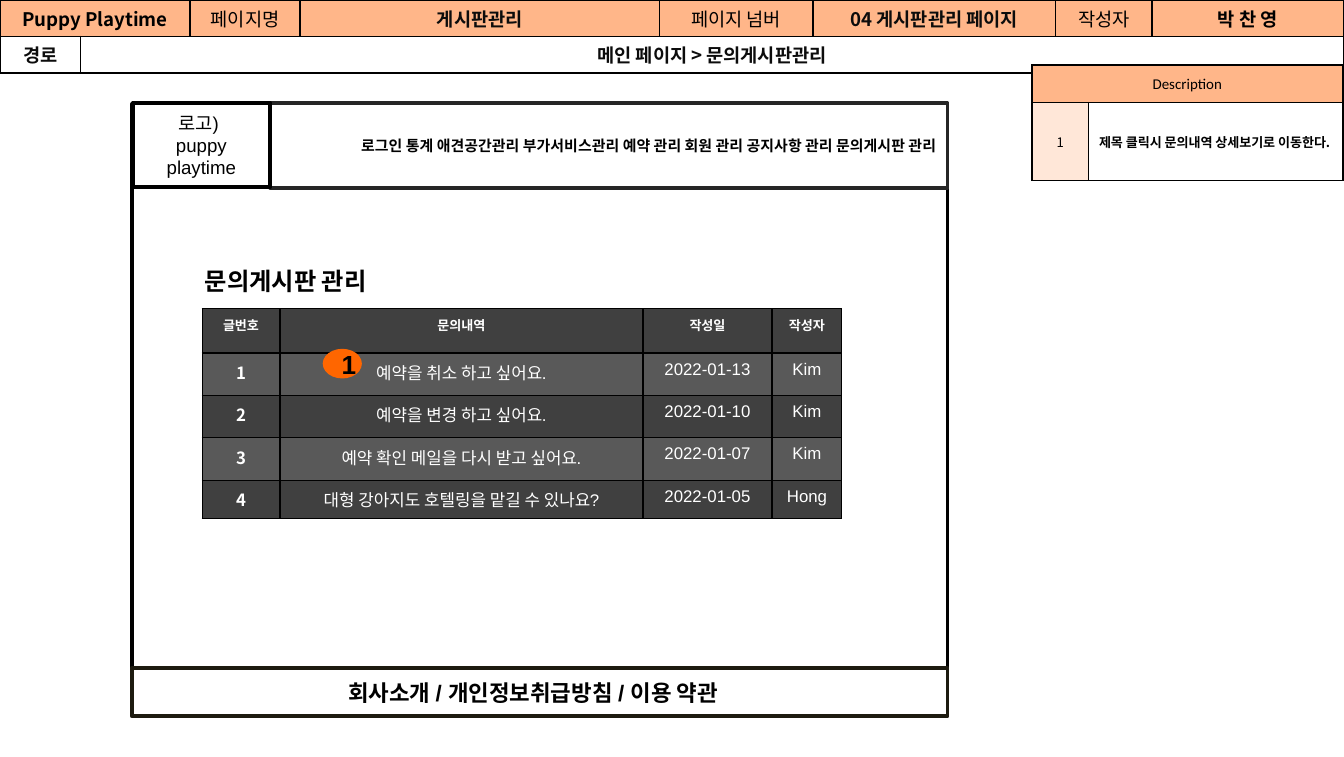
"""Build the storyboard slide for the inquiry board management page."""
from lxml import etree
from pptx import Presentation
from pptx.dml.color import RGBColor
from pptx.enum.shapes import MSO_SHAPE
from pptx.enum.text import MSO_ANCHOR, PP_ALIGN
from pptx.oxml.ns import qn
from pptx.util import Cm, Pt

RECT, OVAL = MSO_SHAPE.RECTANGLE, MSO_SHAPE.OVAL
TOP, MIDDLE = MSO_ANCHOR.TOP, MSO_ANCHOR.MIDDLE
LEFT, CENTER, RIGHT = PP_ALIGN.LEFT, PP_ALIGN.CENTER, PP_ALIGN.RIGHT
NOTO, ARIAL, CALIBRI = "Noto Sans CJK KR", "Arial", "Calibri"

COLORS = {
    "black": "000000", "ink": "0C0C0C", "white": "FFFFFF", "peach": "FFB689",
    "pale": "FFE7D8", "dark": "404040", "grey": "595959", "orange": "FF6600",
    "menu line": "262626", "footer line": "1D1B10",
}

PAGE_INFO = [
    ("Puppy Playtime", True, "black"), None, ("페이지명", False, "black"),
    ("게시판관리", True, "ink"), ("페이지 넘버", False, "black"),
    ("04 게시판관리 페이지", True, "ink"), ("작성자", False, "black"),
    ("박 찬 영", True, "black"),
]
ROUTE = ["경로", "메인 페이지 > 문의게시판관리"]
TITLE = "문의게시판 관리"
MENU = "로그인 통계 애견공간관리 부가서비스관리 예약 관리 회원 관리 공지사항 관리 문의게시판 관리"
LOGO = ["로고) ", "puppy", "playtime"]
FOOTER = "회사소개 / 개인정보취급방침 / 이용 약관"
INQUIRIES = [
    ("글번호", "문의내역", "작성일", "작성자"),
    ("1", "예약을 취소 하고 싶어요.", "2022-01-13", "Kim"),
    ("2", "예약을 변경 하고 싶어요.", "2022-01-10", "Kim"),
    ("3", "예약 확인 메일을 다시 받고 싶어요.", "2022-01-07", "Kim"),
    ("4", "대형 강아지도 호텔링을 맡길 수 있나요?", "2022-01-05", "Hong"),
]
MARKER = "1"
DESCRIPTION = ["Description", "1", "제목 클릭시 문의내역 상세보기로 이동한다."]


def rgb(color):
    return RGBColor.from_string(COLORS[color])


def write(frame, lines, size, font=ARIAL, color="black", bold=False, align=CENTER):
    frame.text = "\n".join(lines)
    for paragraph in frame.paragraphs:
        paragraph.alignment = align
        style = paragraph.font
        style.size, style.bold, style.name = Pt(size), bold, font
        style.color.rgb = rgb(color)
        defaults = paragraph._p.pPr.find(qn("a:defRPr"))
        etree.SubElement(defaults, qn("a:ea"), typeface=NOTO)


def set_margins(box, side, edge):
    box.margin_left = box.margin_right = Cm(side)
    box.margin_top = box.margin_bottom = Cm(edge)


def add_box(slide, place, fill, line=None, kind=RECT):
    box = slide.shapes.add_shape(kind, *map(Cm, place))
    box.shadow.inherit = False
    box.fill.solid()
    box.fill.fore_color.rgb = rgb(fill)
    if line:
        box.line.color.rgb = rgb(line)
        box.line.width = Pt(2)
    else:
        box.line.fill.background()
    box.text_frame.word_wrap = True
    box.text_frame.vertical_anchor = MIDDLE
    return box


def add_grid(slide, left, top, widths, heights, margins, border):
    grid = slide.shapes.add_table(
        len(heights), len(widths), Cm(left), Cm(top), Cm(sum(widths)), Cm(sum(heights))).table
    for column, width in zip(grid.columns, widths):
        column.width = Cm(width)
    for row, height in zip(grid.rows, heights):
        row.height = Cm(height)
    for cell in grid.iter_cells():
        set_margins(cell, *margins)
        properties = cell._tc.get_or_add_tcPr()
        for side in ("lnL", "lnR", "lnT", "lnB"):
            edge = etree.SubElement(properties, qn(f"a:{side}"), w=str(Pt(border)))
            paint = etree.SubElement(edge, qn("a:solidFill"))
            etree.SubElement(paint, qn("a:srgbClr"), val=COLORS["black"])
    return grid


def fill_cell(cell, text, fill, size, anchor=MIDDLE, **style):
    cell.fill.solid()
    cell.fill.fore_color.rgb = rgb(fill)
    cell.vertical_anchor = anchor
    write(cell.text_frame, [text], size, **style)


def add_page_info(slide):
    grid = add_grid(slide, 0, 0, [1.52, 2.07, 2.08, 6.79, 2.9, 4.59, 1.82, 3.62],
                    [0.61, 0.61], (0.23, 0.09), 1)
    grid.cell(0, 0).merge(grid.cell(0, 1))
    grid.cell(1, 1).merge(grid.cell(1, 7))
    for c, item in enumerate(PAGE_INFO):
        if item:
            text, bold, color = item
            fill_cell(grid.cell(0, c), text, "peach", 10, TOP, font=NOTO, color=color, bold=bold)
    for c, text in enumerate(ROUTE):
        fill_cell(grid.cell(1, c), text, "white", 10, font=NOTO, color="ink", bold=True)


def add_inquiries(slide):
    grid = add_grid(slide, 3.82, 5.83, [1.47, 6.86, 2.44, 1.32],
                    [0.84, 0.8, 0.8, 0.8, 0.69], (0.25, 0.13), 0.75)
    for r, inquiry in enumerate(INQUIRIES):
        for c, text in enumerate(inquiry):
            heading = r == 0 or c == 0
            fill_cell(grid.cell(r, c), text, "grey" if r % 2 else "dark", 9 if r else 7, TOP,
                      font=NOTO if heading else ARIAL, color="white", bold=heading)


def add_description(slide):
    grid = add_grid(slide, 19.5, 1.23, [1.07, 4.81], [0.71, 1.47], (0.2, 0.08), 1)
    grid.cell(0, 0).merge(grid.cell(0, 1))
    heading, number, note = DESCRIPTION
    fill_cell(grid.cell(0, 0), heading, "peach", 8, font=CALIBRI)
    fill_cell(grid.cell(1, 0), number, "pale", 7, font=NOTO)
    fill_cell(grid.cell(1, 1), note, "white", 7, font=NOTO, bold=True, align=LEFT)


def place_title(slide):
    title = slide.shapes.title
    title.left, title.top, title.width, title.height = map(Cm, (3.62, 4.9, 4.39, 0.81))
    title.text_frame.vertical_anchor = TOP
    write(title.text_frame, [TITLE], 13, bold=True, align=LEFT)
    slide.shapes._spTree.append(title._element)


def main():
    deck = Presentation()
    deck.slide_width, deck.slide_height = Cm(25.4), Cm(14.3)
    slide = deck.slides.add_slide(deck.slide_layouts[5])

    add_page_info(slide)
    add_box(slide, (2.49, 1.97, 15.42, 11.53), "white", "black")
    footer = add_box(slide, (2.49, 12.62, 15.42, 0.91), "white", "footer line")
    footer.text_frame.margin_right = Cm(0.5)
    write(footer.text_frame, [FOOTER], 12, bold=True)
    add_inquiries(slide)
    place_title(slide)
    menu = add_box(slide, (5.11, 1.95, 12.8, 1.6), "white", "menu line")
    set_margins(menu.text_frame, 0.2, 0.1)
    write(menu.text_frame, [MENU], 8, font=NOTO, bold=True, align=RIGHT)
    logo = add_box(slide, (2.51, 1.94, 2.59, 1.6), "white", "black")
    write(logo.text_frame, LOGO, 10)
    marker = add_box(slide, (6.1, 6.59, 0.74, 0.56), "orange", kind=OVAL)
    write(marker.text_frame, [MARKER], 14, bold=True)
    add_description(slide)
    deck.save("out.pptx")


if __name__ == "__main__":
    main()
